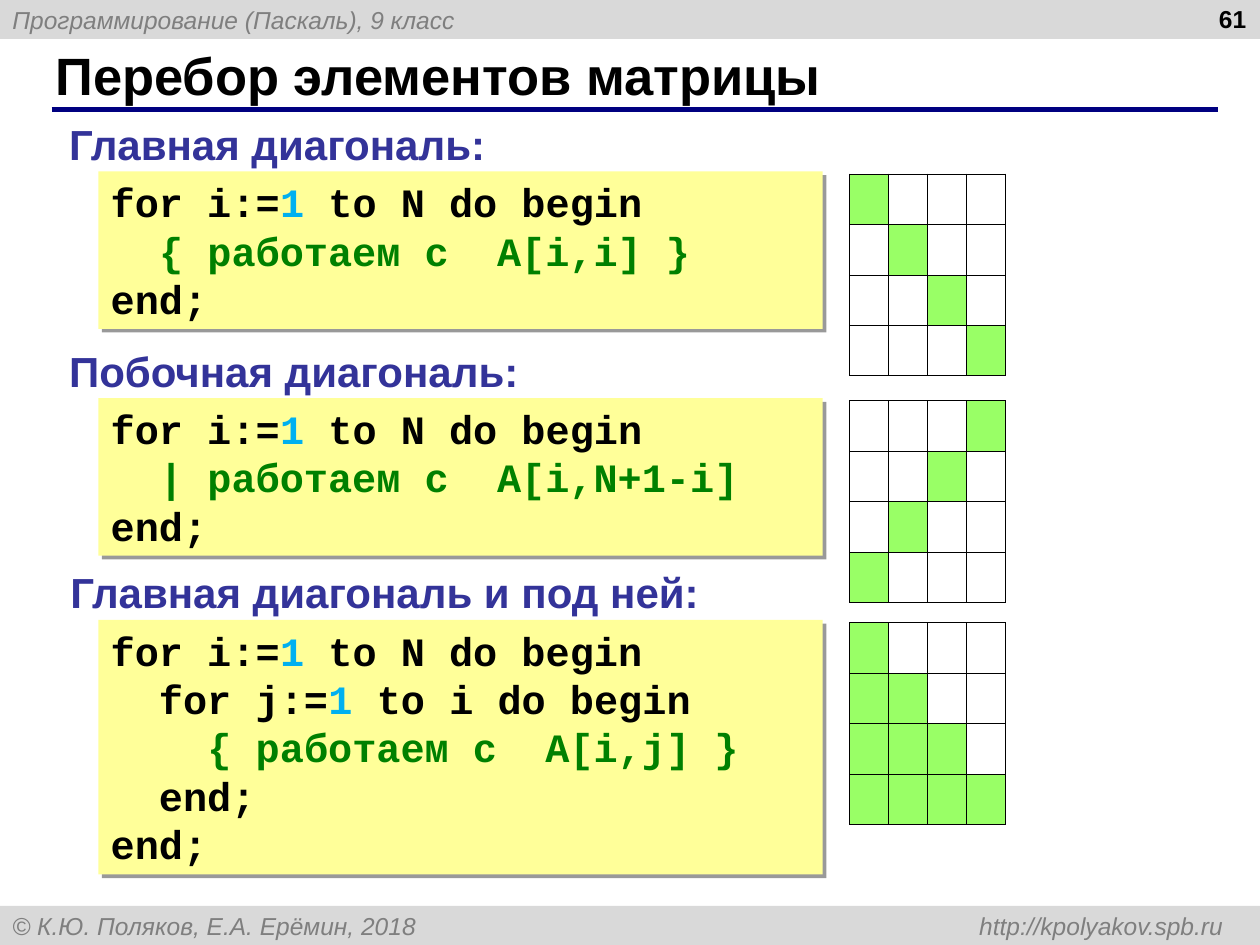
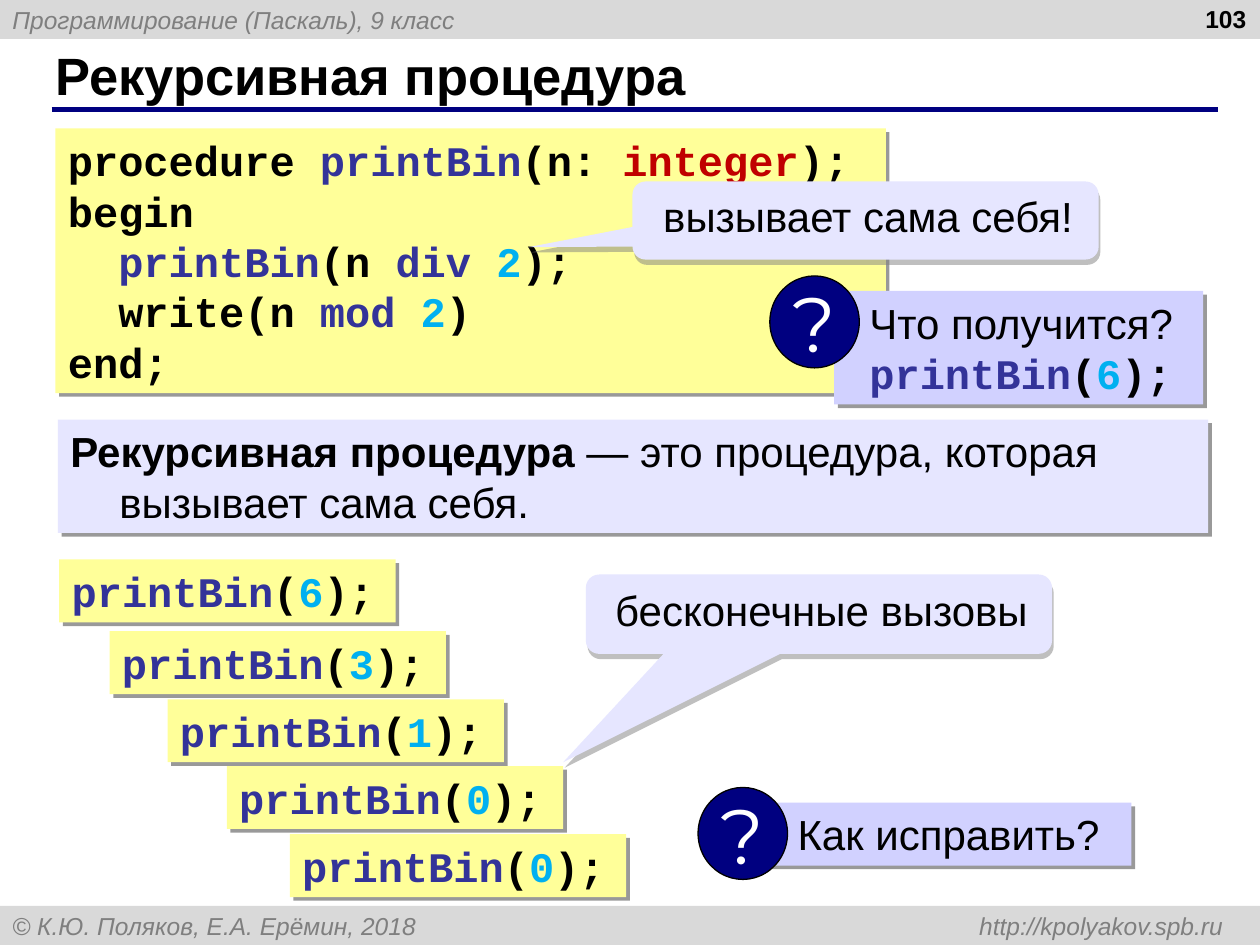
"""Builds two Pascal lesson slides: matrix traversal and a recursive procedure."""
from lxml import etree
from pptx import Presentation
from pptx import util as u
from pptx.dml.color import RGBColor
from pptx.enum import shapes, text
from pptx.oxml import parse_xml
from pptx.oxml.ns import qn

W, H, BAND = 10, 7.5, 0.31
NS = 'xmlns:a="http://schemas.openxmlformats.org/drawingml/2006/main"'


class Theme:
    """Colours, fonts and type sizes of both slides."""

    colors = dict(ink="000000", name="333399", number="00B0F0", comment="008000",
                  type="C00000", muted="7F7F7F", white="FFFFFF", band="D9D9D9",
                  navy="000080", code="FFFF99", ask="D1D1FF", note="E6E6FF",
                  mark="99FF66")
    sans, mono, icon = "Arial", "Courier New", "Montserrat"
    title, code, body, small, sign = 30, 23, 24, 14, 44


HEADER = "Программирование (Паскаль), 9 класс"
FOOTER = "© К.Ю. Поляков, Е.А. Ерёмин, 2018 \thttp://kpolyakov.spb.ru"

LOOP = [("for i:=", "ink"), ("1", "number"), (" to N do begin", "ink")]
END = [("end;", "ink")]
SECTIONS = [
    ("Главная диагональ:", (0.45, 0.89, 3.52), 1.25, lambda r, c: r == c,
     [LOOP, [("  ", "ink"), ("{ работаем с  A[i,i] }", "comment")], END]),
    ("Побочная диагональ:", (0.45, 2.69, 3.78), 1.25, lambda r, c: r + c == 3,
     [LOOP, [("  ", "ink"), ("| работаем с  A[i,N+1-i]", "comment")], END]),
    ("Главная диагональ и под ней:", (0.46, 4.45, 5.21), 2.02, lambda r, c: c <= r,
     [LOOP,
      [("  for j:=", "ink"), ("1 ", "number"), ("to i do begin", "ink")],
      [("    ", "ink"), ("{ работаем с  A[i,j] }", "comment")],
      [("  end;", "ink")], END]),
]

PROCEDURE = [
    [("procedure ", "ink"), ("printBin", "name"), ("(n: ", "ink"),
     ("integer", "type"), (");", "ink")],
    [("begin", "ink")],
    [("  printBin", "name"), ("(n ", "ink"), ("div ", "name"), ("2", "number"), (");", "ink")],
    [("  write(n ", "ink"), ("mod ", "name"), ("2", "number"), (")", "ink")],
    END,
]
DEFINITION = [[("Рекурсивная процедура ", "ink", {"bold": True}),
               ("— это процедура, которая вызывает сама себя.", "ink")]]
CALLS = [("6", 0.47, 4.44), ("3", 0.87, 5.01), ("1", 1.33, 5.55),
         ("0", 1.8, 6.08), ("0", 2.3, 6.62)]
CALLOUTS = [("вызывает сама себя!", (5.02, 1.44, 3.7, 0.62), (-0.723, 0.341)),
            ("бесконечные вызовы", (4.65, 4.56, 3.7, 0.63), (-0.549, 1.867))]


def rgb(key):
    """Returns a theme colour."""
    return RGBColor.from_string(Theme.colors[key])


def assign(obj, values):
    """Sets the attributes named in a dict."""
    for key, value in values.items():
        setattr(obj, key, value)


def inches(*lengths):
    """Converts lengths to inches."""
    return [u.Inches(x) for x in lengths]


def write(sp, lines, size, font=Theme.sans, para=None, frame=None, **style):
    """Writes lines of (text, colour, format) runs into a shape."""
    tf = sp.text_frame
    left, top = inches(0.1, 0.05)
    assign(tf, {"word_wrap": True, "vertical_anchor": text.MSO_ANCHOR.TOP,
                "margin_left": left, "margin_right": left,
                "margin_top": top, "margin_bottom": top, **(frame or {})})
    for i, line in enumerate(lines):
        p = tf.add_paragraph() if i else tf.paragraphs[0]
        assign(p, {"alignment": text.PP_ALIGN.LEFT, **(para or {})})
        for words, color, *extra in line:
            r = p.add_run()
            r.text = words
            assign(r.font, {"size": u.Pt(size), "name": font, "bold": False, **style})
            for values in extra:
                assign(r.font, values)
            r.font.color.rgb = rgb(color)
    return tf


def shade(sp, color="000000", alpha=40, dist=3, angle=45):
    """Gives a shape a hard offset shadow."""
    sp._element.spPr.find(qn("a:effectLst")).append(parse_xml(
        f'<a:outerShdw {NS} blurRad="0" dist="{u.Pt(dist)}" dir="{angle * 60000}" '
        f'algn="ctr" rotWithShape="0"><a:srgbClr val="{color}">'
        f'<a:alpha val="{alpha * 1000}"/></a:srgbClr></a:outerShdw>'))


def block(s, box, fill, kind=shapes.MSO_SHAPE.RECTANGLE):
    """Adds a filled preset shape without an outline."""
    sp = s.shapes.add_shape(kind, *inches(*box))
    sp.shadow.inherit = False
    sp.fill.solid()
    sp.fill.fore_color.rgb = rgb(fill)
    sp.line.fill.background()
    return sp


def panel(s, box, fill, lines, size=Theme.body, **options):
    """Adds a shadowed rectangle with text."""
    sp = block(s, box, fill)
    shade(sp)
    write(sp, lines, size, **options)


def code(s, box, lines, size=Theme.body):
    """Adds a yellow code listing."""
    panel(s, box, "code", lines, size, font=Theme.mono, bold=True)


def call(number):
    """Returns the runs of one printBin call."""
    return [("printBin", "name"), ("(", "ink"), (number, "number"), (");", "ink")]


def question(s, x, y, height, lines):
    """Adds a question panel with a round sign on its left."""
    panel(s, (x + 0.51, y + 0.12, 2.93, height), "ask", lines,
          frame={"margin_left": u.Inches(0.28)})
    sp = block(s, (x, y, 0.71, 0.73), "navy", shapes.MSO_SHAPE.OVAL)
    sp.line.color.rgb = rgb("ink")
    sp.line.width = u.Pt(0.75)
    write(sp, [[("?", "white")]], Theme.sign, Theme.icon,
          para={"alignment": text.PP_ALIGN.CENTER},
          frame={"word_wrap": False, "vertical_anchor": text.MSO_ANCHOR.MIDDLE})


def callout(s, words, box, tip):
    """Adds a rounded speech callout with its tip at the given shares."""
    sp = block(s, box, "note", shapes.MSO_SHAPE.ROUNDED_RECTANGULAR_CALLOUT)
    for i, value in enumerate((*tip, 0.167)):
        sp.adjustments[i] = value
    shade(sp, "808080", 50, 3.2, 72)
    write(sp, [[(words, "ink")]], Theme.body,
          para={"alignment": text.PP_ALIGN.CENTER, "line_spacing": 0.8},
          frame={"vertical_anchor": text.MSO_ANCHOR.MIDDLE,
                 "margin_left": u.Inches(0.06), "margin_right": u.Inches(0.02)})


def matrix(s, x, y, marked, n=4, side=0.31):
    """Adds an n by n table with the marked cells coloured."""
    frame = s.shapes.add_table(n, n, *inches(x, y, n * side, n * side))
    table = frame.table
    assign(table, {"first_row": False, "horz_banding": False})
    for i in range(n):
        table.columns[i].width = table.rows[i].height = u.Inches(side)
    for i in range(n * n):
        row, col = divmod(i, n)
        cell = table.cell(row, col)
        props = cell._tc.get_or_add_tcPr()
        for edge in ("lnL", "lnR", "lnT", "lnB"):
            ln = etree.SubElement(props, qn(f"a:{edge}"), w=str(u.Pt(0.23)))
            fill = etree.SubElement(ln, qn("a:solidFill"))
            etree.SubElement(fill, qn("a:srgbClr"), val=Theme.colors["ink"])
        if marked(row, col):
            cell.fill.solid()
            cell.fill.fore_color.rgb = rgb("mark")
        else:
            cell.fill.background()


def base(prs, title, number):
    """Adds a slide with bands, rule, title and page number."""
    s = prs.slides.add_slide(prs.slide_layouts[5])
    middle = {"vertical_anchor": text.MSO_ANCHOR.MIDDLE}
    for y, words in ((0, HEADER), (H - BAND, FOOTER)):
        sp = block(s, (0, y, W, BAND), "band")
        tf = write(sp, [[(words, "muted")]], Theme.small, italic=True, frame=middle)
    tabs = etree.SubElement(tf.paragraphs[0]._p.get_or_add_pPr(), qn("a:tabLst"))
    etree.SubElement(tabs, qn("a:tab"), pos=str(u.Inches(9.61)), algn="r")
    rule = s.shapes.add_connector(shapes.MSO_CONNECTOR.STRAIGHT,
                                  *inches(0.41, 0.87, 9.67, 0.87))
    rule.line.color.rgb = rgb("navy")
    rule.line.width = u.Pt(3)
    etree.SubElement(rule._element.spPr, qn("a:effectLst"))
    sp = s.shapes.title
    assign(sp, dict(zip(("left", "top", "width", "height"), inches(0.34, 0.33, 9.16, 0.52))))
    write(sp, [[(title, "ink")]], Theme.title, bold=True, frame=middle)
    sp = s.shapes.add_textbox(*inches(7.66, -0.02, 2.33, 0.52))
    write(sp, [[(str(number), "ink")]], Theme.small, bold=True,
          para={"alignment": text.PP_ALIGN.RIGHT})
    return s


def matrix_slide(prs):
    """Builds the slide on walking through a matrix."""
    s = base(prs, "Перебор элементов матрицы", 61)
    for heading, (x, y, width), height, marked, lines in SECTIONS:
        sp = s.shapes.add_textbox(*inches(x, y, width, 0.5))
        write(sp, [[(heading, "name")]], Theme.body, bold=True, frame={"word_wrap": False})
        code(s, (0.78, y + 0.47, 5.75, height), lines, Theme.code)
        matrix(s, 6.74, y + 0.49, marked)


def recursion_slide(prs):
    """Builds the slide on a recursive procedure."""
    s = base(prs, "Рекурсивная процедура", 103)
    panel(s, (0.46, 3.33, 9.13, 0.9), "note", DEFINITION)
    p = s.shapes[-1].text_frame.paragraphs[0]
    indent = u.Inches(0.39)
    for key, value in {"marL": indent, "indent": -indent}.items():
        p._p.get_or_add_pPr().set(key, str(value))
    code(s, (0.44, 1.02, 6.59, 2.1), PROCEDURE)
    ask = [(words, color, {"name": Theme.mono, "bold": True}) for words, color in call("6")]
    question(s, 6.11, 2.19, 0.9, [[("Что получится?", "ink")], ask])
    callout(s, *CALLOUTS[0])
    for number, x, y in CALLS:
        code(s, (x, y, 2.67, 0.5), [call(number)])
    question(s, 5.54, 6.25, 0.5, [[("Как исправить?", "ink")]])
    callout(s, *CALLOUTS[1])


def main():
    """Builds and saves the presentation."""
    prs = Presentation()
    prs.slide_width, prs.slide_height = inches(W, H)
    matrix_slide(prs)
    recursion_slide(prs)
    prs.save("out.pptx")


if __name__ == "__main__":
    main()
